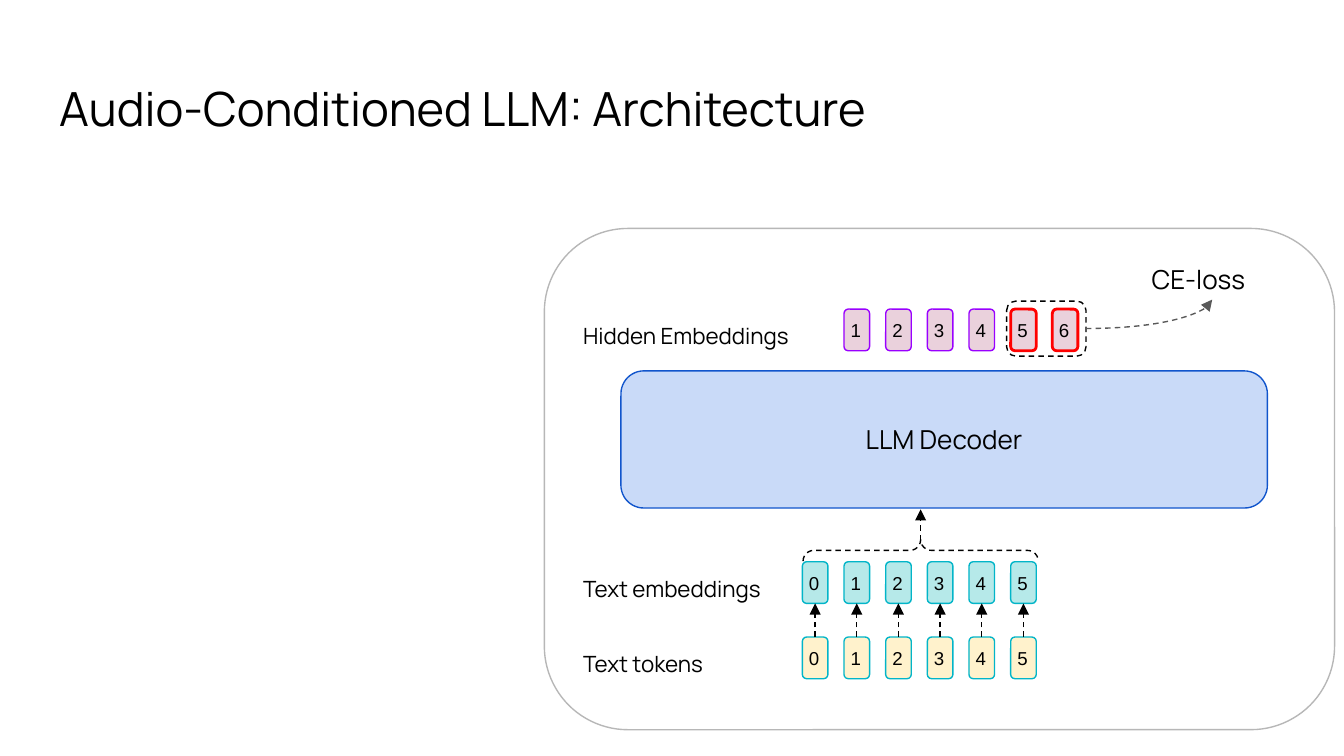
"""Build the slide on the architecture of an audio-conditioned LLM."""
from dataclasses import dataclass

from lxml import etree
from pptx import Presentation
from pptx.dml.color import RGBColor
from pptx.enum import dml, shapes, text
from pptx.oxml import ns
from pptx.util import Inches, Pt

BLACK = "000000"
ROUNDED = shapes.MSO_SHAPE.ROUNDED_RECTANGLE
FIRST_LEFT, PITCH = 5.97, 0.31
CELL_WIDTH, CELL_HEIGHT = 0.19, 0.31


@dataclass
class Frame:
    left: float
    top: float
    width: float
    height: float

    def lengths(self):
        return [Inches(v) for v in (self.left, self.top, self.width, self.height)]


@dataclass
class Label:
    words: str
    frame: Frame
    size: float = 12


@dataclass
class Row:
    numbers: range
    top: float
    fill: str
    line: str
    align: text.PP_ALIGN = text.PP_ALIGN.LEFT
    marked: tuple = ()


def color(value: str) -> RGBColor:
    return RGBColor.from_string(value)


def write(shape, words: str, size: float, font: str = "Manrope",
          align=text.PP_ALIGN.LEFT, anchor=text.MSO_ANCHOR.TOP, left_inset: float = 0.1):
    frame = shape.text_frame
    frame.text = words
    frame.word_wrap = True
    frame.auto_size = text.MSO_AUTO_SIZE.NONE
    frame.vertical_anchor = anchor
    frame.margin_left = Inches(left_inset)
    frame.margin_top = frame.margin_right = frame.margin_bottom = Inches(0.1)
    para = frame.paragraphs[0]
    para.alignment = align
    span = para.runs[0]
    span.font.size = Pt(size)
    span.font.name = font
    span.font.color.rgb = color(BLACK)


def style_line(line, value: str, width: float = 0.75, dashed: bool = False):
    line.color.rgb = color(value)
    line.width = Pt(width)
    if dashed:
        line.dash_style = dml.MSO_LINE.DASH


def add_box(page, kind, frame: Frame, fill: str, line: str,
            width: float = 0.75, dashed: bool = False):
    box = page.shapes.add_shape(kind, *frame.lengths())
    box.shadow.inherit = False
    if fill:
        box.fill.solid()
        box.fill.fore_color.rgb = color(fill)
    else:
        box.fill.background()
    style_line(box.line, line, width, dashed)
    return box


def add_label(page, label: Label):
    box = page.shapes.add_textbox(*label.frame.lengths())
    write(box, label.words, label.size)


def add_row(page, row: Row) -> list:
    cells = []
    for number in row.numbers:
        frame = Frame(FIRST_LEFT + PITCH * number, row.top, CELL_WIDTH, CELL_HEIGHT)
        line, width = ("FF0000", 1.5) if number in row.marked else (row.line, 0.75)
        cell = add_box(page, ROUNDED, frame, row.fill, line, width)
        write(cell, str(number), 10, "Arial", row.align, text.MSO_ANCHOR.MIDDLE, 0.04)
        cells.append(cell)
    return cells


def add_arrow(page, start: tuple, end: tuple, line: str = BLACK,
              kind=shapes.MSO_CONNECTOR.STRAIGHT):
    arrow = page.shapes.add_connector(kind, *[Inches(v) for v in start + end])
    style_line(arrow.line, line, dashed=True)
    outline = arrow.line._get_or_add_ln()
    etree.SubElement(outline, ns.qn("a:tailEnd"), type="triangle")
    etree.SubElement(arrow._element.spPr, ns.qn("a:effectLst"))
    return arrow


def main():
    deck = Presentation()
    deck.slide_width = Inches(10)
    deck.slide_height = deck.slide_width * 9 // 16
    page = deck.slides.add_slide(deck.slide_layouts[5])

    title = page.shapes.title
    title.left, title.top, title.width, title.height = Frame(0.34, 0.49, 9.32, 0.63).lengths()
    write(title, "Audio-Conditioned LLM: Architecture", 25.2)

    add_box(page, ROUNDED, Frame(4.05, 1.7, 5.88, 3.73), "FFFFFF", "B7B7B7")
    loss_group = add_box(page, shapes.MSO_SHAPE.FLOWCHART_ALTERNATE_PROCESS,
                         Frame(7.49, 2.24, 0.59, 0.41), "FFFFFF", BLACK, dashed=True)

    brace = add_box(page, shapes.MSO_SHAPE.RIGHT_BRACE,
                    Frame(6.77, 3.22, 0.16, 1.75), "", BLACK, dashed=True)
    brace.rotation = 270
    brace.adjustments[0] = brace.adjustments[1] = 0.5
    add_arrow(page, (6.85, 4.02), (6.85, 3.79))

    embeddings = add_row(page, Row(range(6), 4.18, "B6E9E9", "02B5C8"))
    tokens = add_row(page, Row(range(6), 4.74, "FFF2CC", "02B5C8", text.PP_ALIGN.JUSTIFY))
    add_row(page, Row(range(1, 7), 2.3, "EAD1DC", "9900FF", marked=(5, 6)))
    for token, embedding in zip(tokens, embeddings):
        arrow = add_arrow(page, (0, 0), (0, 0))
        arrow.begin_connect(token, 0)
        arrow.end_connect(embedding, 2)

    decoder = add_box(page, ROUNDED, Frame(4.62, 2.76, 4.81, 1.02), "C9DAF8", "1155CC")
    write(decoder, "LLM Decoder", 14, align=text.PP_ALIGN.CENTER,
          anchor=text.MSO_ANCHOR.MIDDLE)

    for label in (
        Label("Hidden Embeddings", Frame(4.24, 2.3, 1.91, 0.31)),
        Label("Text embeddings", Frame(4.24, 4.18, 1.72, 0.31)),
        Label("Text tokens", Frame(4.24, 4.74, 1.72, 0.31)),
        Label("CE-loss", Frame(8.47, 1.86, 1.09, 0.38), 14),
    ):
        add_label(page, label)

    curve = add_arrow(page, (8.08, 2.45), (9.02, 2.23), "595959", shapes.MSO_CONNECTOR.CURVE)
    curve._element.spPr.find(ns.qn("a:prstGeom")).set("prst", "curvedConnector2")
    curve.begin_connect(loss_group, 3)

    deck.save("out.pptx")


if __name__ == "__main__":
    main()
